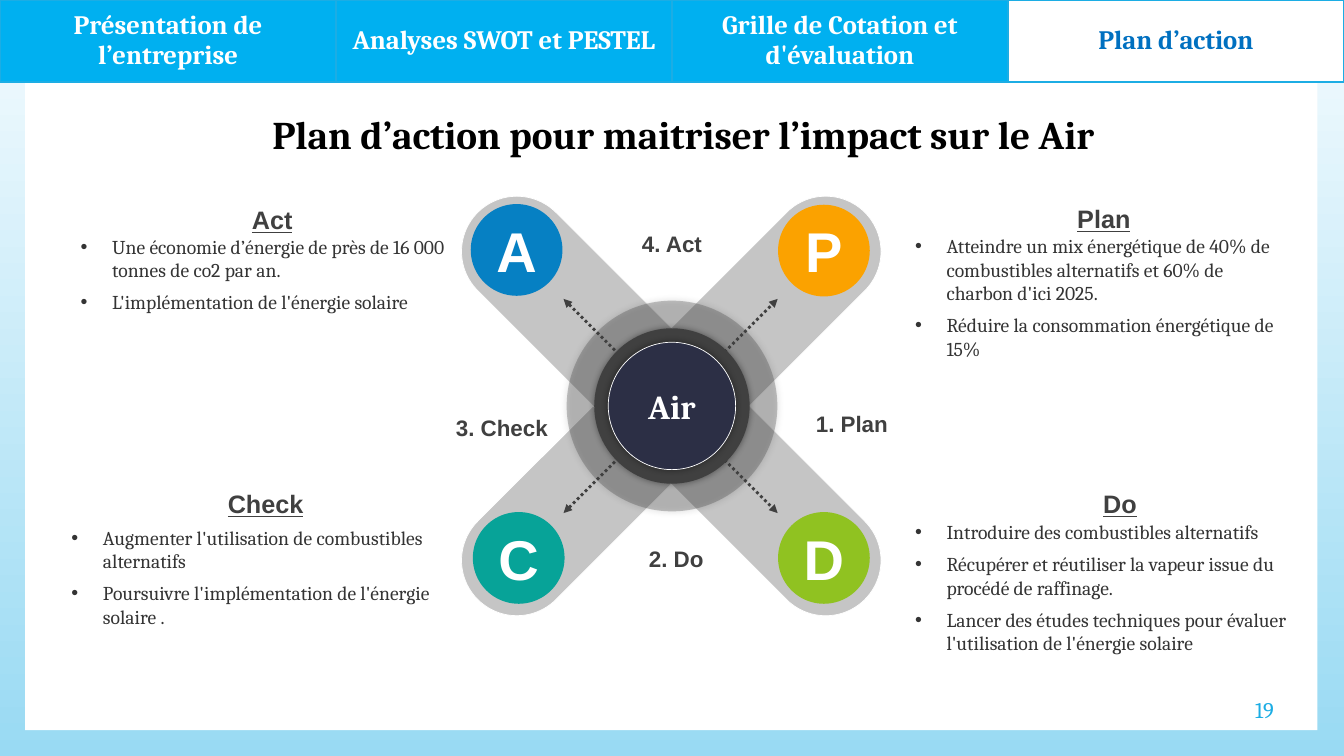
from lxml.etree import SubElement
from pptx import Presentation
from pptx.dml.color import RGBColor
from pptx.enum.dml import MSO_LINE
from pptx.enum.shapes import MSO_CONNECTOR, MSO_SHAPE as Shape
from pptx.enum.text import MSO_ANCHOR as Anchor, PP_ALIGN as Align
from pptx.oxml.ns import qn
from pptx.util import Pt

WHITE = RGBColor(0xFF, 0xFF, 0xFF)
BLACK = RGBColor(0, 0, 0)
GRAY = RGBColor(0x40, 0x40, 0x40)
BODY = RGBColor(0x34, 0x34, 0x34)
NAVY = RGBColor(0x2C, 0x2F, 0x45)
BLUE = RGBColor(0x06, 0x80, 0xC3)
ORANGE = RGBColor(0xFB, 0xA2, 0x00)
TEAL = RGBColor(0x07, 0xA3, 0x98)
GREEN = RGBColor(0x90, 0xC2, 0x21)
TAB_BLUE = RGBColor(0x00, 0xB0, 0xF0)
TAB_TEXT = RGBColor(0x00, 0x70, 0xC0)
ACCENT = RGBColor(0x1C, 0xAD, 0xE4)
SKY_TOP = RGBColor(0xF4, 0xFB, 0xFE)
SKY_BOTTOM = RGBColor(0x99, 0xDA, 0xF3)

CENTER_X, CENTER_Y = 480, 290
TABS = ["Présentation de l’entreprise", "Analyses SWOT et PESTEL",
        "Grille de Cotation et d'évaluation", "Plan d’action"]
# letter, colour, centre of the disc
DISCS = [("A", BLUE, 369, 178.5), ("P", ORANGE, 588.5, 179),
         ("C", TEAL, 370.5, 398.5), ("D", GREEN, 588.5, 398.5)]
# text, centre, top
LABELS = [("4. Act", 480, 160.5), ("1. Plan", 608.5, 289.5),
          ("3. Check", 358.5, 292.5), ("2. Do", 483, 386)]
# heading, its left, top and width, then left, top and width of its list, items
STEPS = [
    ("Act", (49.5, 142.5, 290), (50.5, 164, 286),
     ["Une économie d’énergie de près de 16 000 tonnes de co2 par an.",
      "L'implémentation de l'énergie solaire"]),
    ("Plan", (646, 142, 285), (646.5, 163.5, 281),
     ["Atteindre un mix énergétique de 40% de combustibles alternatifs "
      "et 60% de charbon d'ici 2025.",
      "Réduire la consommation énergétique de 15%"]),
    ("Check", (55.5, 345.5, 268.5), (44, 372, 301.5),
     ["Augmenter l'utilisation de combustibles alternatifs",
      "Poursuivre l'implémentation de l'énergie solaire ."]),
    ("Do", (646, 345.5, 308), (646.5, 368, 311),
     ["Introduire des combustibles alternatifs",
      "Récupérer et réutiliser la vapeur issue du procédé de raffinage.",
      "Lancer des études techniques pour évaluer l'utilisation de "
      "l'énergie solaire"]),
]


def write(para, text, size=14, color=BODY, font="Cambria", bold=False,
          underline=False, align=Align.CENTER):
    para.alignment = align
    span = para.add_run()
    span.text = text
    span.font.size, span.font.name = Pt(size), font
    span.font.bold, span.font.underline = bold, underline
    span.font.color.rgb = color


def add_text(page, left, top, width, height, text, **text_format):
    box = page.shapes.add_textbox(Pt(left), Pt(top), Pt(width), Pt(height))
    box.text_frame.word_wrap = True
    write(box.text_frame.paragraphs[0], text, **text_format)
    return box


def add_list(page, left, top, width, items):
    box = page.shapes.add_textbox(Pt(left), Pt(top), Pt(width), Pt(30 * len(items)))
    frame = box.text_frame
    frame.word_wrap = True
    for index, item in enumerate(items):
        para = frame.add_paragraph() if index else frame.paragraphs[0]
        write(para, item, align=Align.LEFT)
        para.space_before = Pt(6)
        props = para._p.get_or_add_pPr()
        props.set("marL", str(Pt(22.5)))
        props.set("indent", str(-Pt(22.5)))
        SubElement(props, qn("a:buFont"), typeface="Arial")
        SubElement(props, qn("a:buChar"), char="•")


def add_solid(page, kind, left, top, width, height, fill, line=None,
              line_width=0.5, opacity=100, glow=False):
    """Add a filled shape; glow gives it a soft shadow all around."""
    shape = page.shapes.add_shape(kind, Pt(left), Pt(top), Pt(width), Pt(height))
    shape.shadow.inherit = False
    shape.fill.solid()
    shape.fill.fore_color.rgb = fill
    if line is None:
        shape.line.fill.background()
    else:
        shape.line.color.rgb = line
        shape.line.width = Pt(line_width)
    props = shape.element.spPr
    if opacity < 100:
        color = props.find(qn("a:solidFill"))[0]
        SubElement(color, qn("a:alpha"), val=str(opacity * 1000))
    if glow:
        shadow = SubElement(props.find(qn("a:effectLst")), qn("a:outerShdw"),
                            blurRad=str(Pt(5)), dist="0", dir="0")
        color = SubElement(shadow, qn("a:srgbClr"), val="000000")
        SubElement(color, qn("a:alpha"), val="40000")
    return shape


def add_disc(page, x, y, diameter, fill, text="", size=40, font="Arial", **style):
    """Add a circle centred on x, y."""
    disc = add_solid(page, Shape.OVAL, x - diameter / 2, y - diameter / 2,
                     diameter, diameter, fill, **style)
    if text:
        frame = disc.text_frame
        frame.margin_left = frame.margin_right = 0
        frame.margin_top = frame.margin_bottom = 0
        frame.vertical_anchor = Anchor.MIDDLE
        write(frame.paragraphs[0], text, size=size, font=font, color=WHITE, bold=True)


def add_arrow(page, x1, y1, x2, y2):
    arrow = page.shapes.add_connector(MSO_CONNECTOR.STRAIGHT,
                                      Pt(x1), Pt(y1), Pt(x2), Pt(y2))
    arrow.line.color.rgb = GRAY
    arrow.line.width = Pt(2)
    arrow.line.dash_style = MSO_LINE.ROUND_DOT
    props = arrow.element.spPr
    for end in ("a:headEnd", "a:tailEnd"):
        SubElement(props.find(qn("a:ln")), qn(end), type="triangle")
    SubElement(props, qn("a:effectLst"))


def add_tabs(page, height=58.5):
    table = page.shapes.add_table(1, len(TABS), 0, 0, Pt(960), Pt(height)).table
    table.first_row = table.horz_banding = False
    for index, title in enumerate(TABS):
        current = index == len(TABS) - 1
        cell = table.cell(0, index)
        cell.vertical_anchor = Anchor.MIDDLE
        write(cell.text_frame.paragraphs[0], title, size=19, bold=True,
              color=TAB_TEXT if current else WHITE)
        props = cell._tc.get_or_add_tcPr()
        for side, width in (("L", 1), ("R", 1), ("T", 1), ("B", 2)):
            border = SubElement(props, qn(f"a:ln{side}"), w=str(Pt(width)))
            fill = SubElement(border, qn("a:solidFill"))
            SubElement(fill, qn("a:srgbClr"), val=str(ACCENT))
        cell.fill.solid()
        cell.fill.fore_color.rgb = WHITE if current else TAB_BLUE


def paint_background(page):
    fill = page.background.fill
    fill.gradient()
    fill.gradient_angle = 270
    for stop, color in zip(fill.gradient_stops, (SKY_TOP, SKY_BOTTOM)):
        stop.color.rgb = color


def add_cycle(page):
    for angle in (45, 315):
        arm = add_solid(page, Shape.ROUNDED_RECTANGLE, CENTER_X - 40, CENTER_Y - 195.5,
                        79, 391, GRAY, line=WHITE, opacity=30)
        arm.adjustments[0] = 0.5
        arm.rotation = angle
    add_disc(page, CENTER_X, CENTER_Y, 150.5, GRAY, opacity=30, glow=True)
    reach = 76.5
    for rise in (-reach, reach):
        add_arrow(page, CENTER_X - reach - 1, CENTER_Y + rise,
                  CENTER_X + reach - 1, CENTER_Y - rise)
    add_disc(page, CENTER_X, CENTER_Y, 111, GRAY, glow=True)
    add_disc(page, CENTER_X, CENTER_Y, 91, NAVY, "Air", size=24, font="Cambria",
             line=WHITE, glow=True)
    for letter, color, x, y in DISCS:
        add_disc(page, x, y, 65.5, color, letter)
    for text, x, top in LABELS:
        add_text(page, x - 50, top, 100, 26.5, text, size=16, font="Arial",
                 color=GRAY, bold=True)


def main():
    deck = Presentation()
    deck.slide_width, deck.slide_height = Pt(960), Pt(540)
    page = deck.slides.add_slide(deck.slide_layouts[6])
    paint_background(page)
    add_solid(page, Shape.RECTANGLE, 18, 19.5, 923, 502, WHITE)
    add_cycle(page)
    for heading, heading_place, list_place, items in STEPS:
        add_list(page, *list_place, items)
        add_text(page, *heading_place, 29, heading, size=18, font="Arial",
                 color=GRAY, bold=True, underline=True)
    title = add_solid(page, Shape.RECTANGLE, 49, 75, 878, 41, WHITE,
                      line=WHITE, line_width=4.5)
    write(title.text_frame.paragraphs[0], "Plan d’action pour maitriser l’impact sur le Air",
          size=28, color=BLACK, bold=True)
    add_tabs(page)
    number = add_text(page, 868, 492, 49, 29, "19", size=16, color=ACCENT,
                      align=Align.RIGHT)
    number.text_frame.vertical_anchor = Anchor.MIDDLE
    deck.save("out.pptx")


if __name__ == "__main__":
    main()
